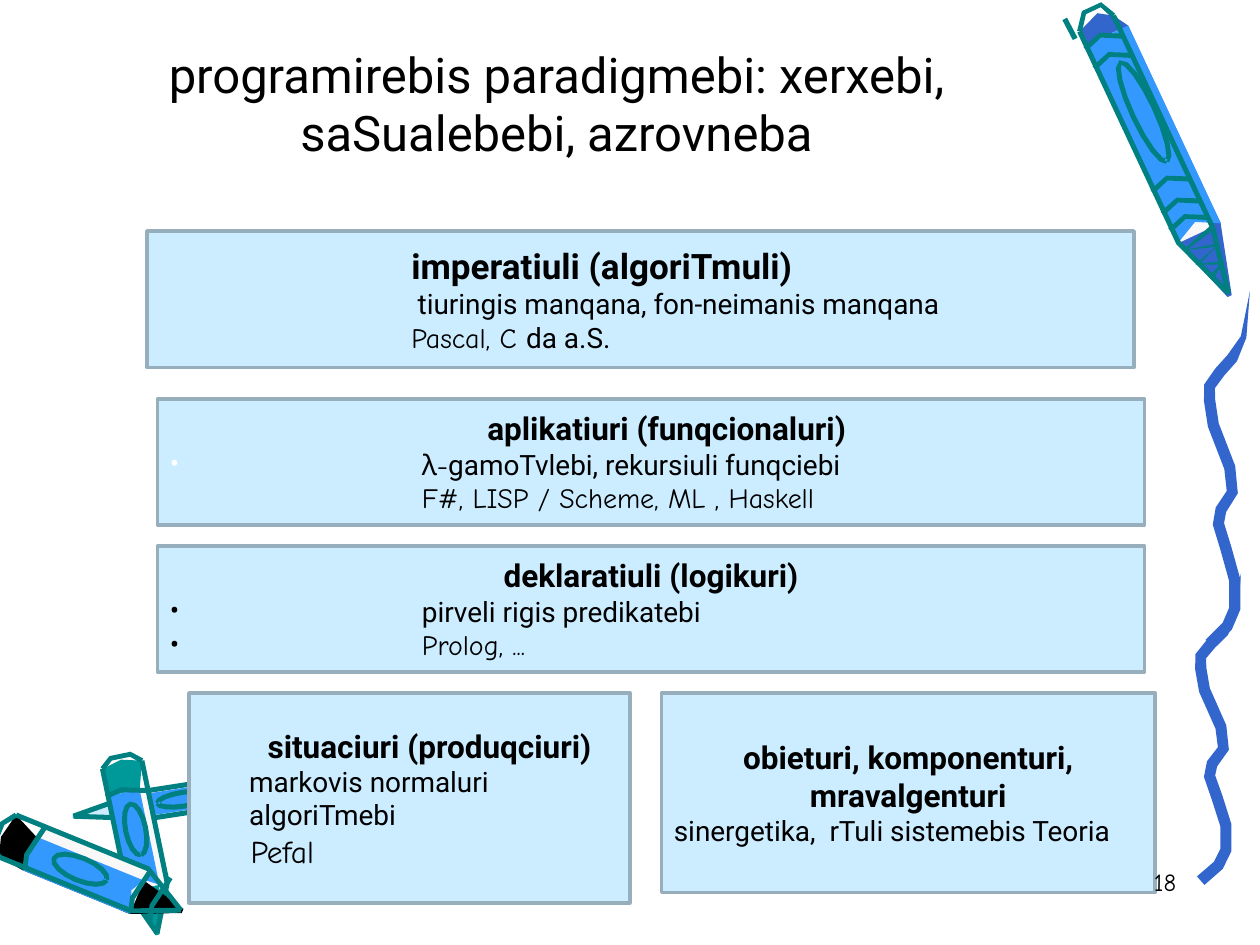
"""Build the slide on programming paradigms with its crayon decoration."""
from dataclasses import dataclass
from math import cos, hypot, pi, sin

from lxml import etree
from pptx import Presentation
from pptx.dml.color import RGBColor
from pptx.enum.shapes import MSO_CONNECTOR, MSO_SHAPE
from pptx.enum.text import MSO_ANCHOR, PP_ALIGN
from pptx.oxml.ns import qn
from pptx.util import Emu, Inches, Pt

LEFT, CENTER, RIGHT = PP_ALIGN.LEFT, PP_ALIGN.CENTER, PP_ALIGN.RIGHT
TOP, MIDDLE, BOTTOM = MSO_ANCHOR.TOP, MSO_ANCHOR.MIDDLE, MSO_ANCHOR.BOTTOM
RECT, STRAIGHT = MSO_SHAPE.RECTANGLE, MSO_CONNECTOR.STRAIGHT
BODY, HAND = "Roboto", "Comic Neue"
CELL, HUNDREDTH = Inches(1) // 12, Inches(1) // 100
COLORS = {
    "ink": "000000", "white": "FFFFFF", "panel": "CCECFF", "border": "97AFBD",
    "royal": "3366CC", "blue": "3399FF", "paper": "F8F8F8",
    "teal": "009999", "dark_teal": "008080",
}


@dataclass
class Crayon:
    """Describe a crayon: ends in hundredths of an inch, the rest in shares of its length and half width."""

    butt: tuple
    tip: tuple
    half: float
    core: str
    nib: str
    sleeve: tuple
    sleeve_sides: tuple
    edges: tuple
    lens: tuple
    bands: tuple = ()
    scribbles: int = 0

    def place(self, points):
        """Turn (along, across) shares into slide positions."""
        (x, y), (tx, ty) = self.butt, self.tip
        dx, dy = tx - x, ty - y
        k = self.half / hypot(dx, dy)
        return [(x + u * dx - v * k * dy, y + u * dy + v * k * dx) for u, v in points]


CRAYONS = [
    Crayon((193, 627), (57, 648), 11, "paper", "panel", (0.1, 0.57), (-0.8, 0.8), (-1, 1), (0.35, 0.15)),
    Crayon((97, 607), (125, 742), 16, "teal", "teal", (0.16, 0.72), (-0.6, 0.9), (-1, 1), (0.38, 0.15),
           bands=(0.16,)),
    Crayon((5, 666), (145, 723), 18, "ink", "ink", (0.14, 0.75), (-0.6, 1), (-1.15, 0.85), (0.42, 0.15),
           bands=(0.15, 0.75, 0.86)),
    Crayon((874, 17), (976, 235), 18, "royal", "royal", (0.05, 0.77), (-1, 1.1), (-0.6, 1.05), (0.33, 0.18),
           bands=(0.06, 0.13, 0.58, 0.66, 0.72), scribbles=6),
]
WAVE = [(36, 0), (31, 0.13), (22, 0.19), (12, 0.23), (4, 0.27), (4, 0.31), (7, 0.38), (20, 0.5), (22, 0.57),
        (13, 0.62), (11, 0.66), (17, 0.73), (24, 0.82), (24, 0.9), (18, 0.95), (4, 1)]
WAVE_SPANS = [(949, 455, 244), (956, 231, 280)]

HEADING = {"size": 18, "bold": True, "align": CENTER}
PANELS = [
    ((14, 22, 94, 13), [
        ("imperatiuli (algoriTmuli)", {"size": 20, "bold": True, "left": 2}),
        ("tiuringis manqana, fon-neimanis manqana", {"left": 2.05}),
        ("Pascal, C ", {"font": HAND, "left": 2, "tail": ("da a.S.", BODY)})]),
    ((15, 38, 94, 12), [
        ("aplikatiuri (funqcionaluri)", {**HEADING, "left": 0.25}),
        ("λ-", {"font": HAND, "left": 2, "bullet": "white", "tail": ("gamoTvlebi, rekursiuli funqciebi", BODY)}),
        ("F#, LISP / Scheme, ML , Haskell", {"font": HAND, "left": 2})]),
    ((15, 52, 94, 12), [
        ("deklaratiuli (logikuri)", HEADING),
        ("pirveli rigis predikatebi", {"left": 2, "bullet": "ink"}),
        ("Prolog, ...", {"font": HAND, "left": 2, "bullet": "ink"})]),
    ((18, 66, 42, 20), [
        ("situaciuri (produqciuri)", {**HEADING, "left": 0.32}),
        ("markovis normaluri algoriTmebi", {"left": 0.38}),
        ("Pefal", {"size": 18, "font": HAND, "left": 0.39})]),
    ((63, 66, 47, 19), [
        ("obieturi, komponenturi, mravalgenturi", HEADING),
        ("sinergetika,  rTuli sistemebis Teoria", {})]),
]


def rgb(name):
    """Return the named colour."""
    return RGBColor.from_string(COLORS[name])


def write(tf, text, size=16, font=BODY, bold=False, align=LEFT, left=0, bullet=None, tail=None):
    """Add a paragraph, with an optional bullet colour and a (text, font) tail."""
    p = tf.add_paragraph() if tf.paragraphs[0].runs else tf.paragraphs[0]
    p.alignment = align
    pPr = p._p.get_or_add_pPr()
    pPr.set("marL", str(Inches(left)))
    pPr.set("indent", str(-Inches(left) if bullet else 0))
    if bullet:
        color = etree.SubElement(pPr, qn("a:buClr"))
        etree.SubElement(color, qn("a:srgbClr"), val=COLORS[bullet])
        etree.SubElement(pPr, qn("a:buFont"), typeface=BODY)
        etree.SubElement(pPr, qn("a:buChar"), char="•")
    for part, face in [(text, font)] + ([tail] if tail else []):
        r = p.add_run()
        r.text = part
        r.font.name, r.font.size, r.font.bold = face, Pt(size), bold
        r.font.color.rgb = rgb("ink")


class Deck:
    """Hold the current slide and place elements on a grid of 120 by 90 cells."""

    def __init__(self, prs):
        """Add a blank slide."""
        self.slide = prs.slides.add_slide(prs.slide_layouts[6])
        self.shapes = self.slide.shapes

    def cells(self, *values):
        """Convert grid cells to lengths."""
        return [Emu(round(v * CELL)) for v in values]

    def polygon(self, points, color):
        """Fill an outline given in hundredths of an inch."""
        start, *rest = [(x * HUNDREDTH, y * HUNDREDTH) for x, y in points]
        builder = self.shapes.build_freeform(*start)
        builder.add_line_segments(rest, close=True)
        sp = builder.convert_to_shape()
        sp.shadow.inherit = False
        sp.fill.solid()
        sp.fill.fore_color.rgb = rgb(color)
        sp.line.fill.background()

    def strip(self, points, color="dark_teal", width=4, taper=0):
        """Fill a ribbon around a path, growing to full width over its first taper points."""
        sides = [], []
        for i, (x, y) in enumerate(points):
            (ax, ay), (bx, by) = points[max(i - 1, 0)], points[min(i + 1, len(points) - 1)]
            share = min(1, i / taper) if taper else 1
            k = share * width / 2 / hypot(bx - ax, by - ay)
            for side, sign in zip(sides, (1, -1)):
                side.append((x - sign * k * (by - ay), y + sign * k * (bx - ax)))
        self.polygon(sides[0] + sides[1][::-1], color)

    def crayon(self, c):
        """Draw a crayon from its fills outwards to its outlines, bands and lens."""
        (start, end), (low, high), (top, base) = c.sleeve, c.sleeve_sides, c.edges
        fills = [
            (c.core, [(0, top), (-0.03, 0), (0, base), (start, high), (end, high), (end, low), (start, low)]),
            (c.nib, [(end - 0.05, low), (end - 0.05, high), (end, high), (1, 0.1), (1, -0.1), (end, low)]),
            ("paper", [(start, top), (start, base), (end, base), (end, top)]),
            ("blue", [(start, low), (start, high), (end, high), (end - 0.04, 0), (end, low)]),
        ]
        for color, outline in fills:
            self.polygon(c.place(outline), color)
        rim = [(0, top), (-0.05, top / 2), (-0.05, base / 2), (0, base)]
        sides = [[(0, v), (end, v), (0.99, 0)] for v in c.edges]
        bands = [[(u, base * 1.1), (u - 0.02, 0.3), (u + 0.015, top)] for u in c.bands]
        scribble = [(end + 0.03 * i, c.edges[i % 2] * (1 - 0.12 * i)) for i in range(c.scribbles)]
        middle, reach = c.lens
        lens = [(middle + reach * cos(i * pi / 8), 0.5 * sin(i * pi / 8)) for i in range(17)]
        for outline in [rim, *sides, *bands, lens] + ([scribble] if scribble else []):
            self.strip(c.place(outline))

    def line(self, *ends, color="dark_teal", width=3):
        """Draw a straight line."""
        sp = self.shapes.add_connector(STRAIGHT, *self.cells(*ends))
        sp.line.color.rgb, sp.line.width = rgb(color), Pt(width)
        etree.SubElement(sp._element.spPr, qn("a:effectLst"))

    def text(self, *box, anchor=TOP):
        """Add a text box and return its text frame."""
        tf = self.shapes.add_textbox(*self.cells(*box)).text_frame
        tf.word_wrap, tf.vertical_anchor = True, anchor
        return tf

    def panel(self, *box):
        """Add a bordered panel and return its text frame."""
        sp = self.shapes.add_shape(RECT, *self.cells(*box))
        sp.shadow.inherit = False
        sp.fill.solid()
        sp.fill.fore_color.rgb = rgb("panel")
        sp.line.color.rgb, sp.line.width = rgb("border"), Pt(2)
        tf = sp.text_frame
        tf.word_wrap, tf.vertical_anchor = True, MIDDLE
        return tf


def main():
    """Build and save the slide."""
    prs = Presentation()
    prs.slide_width, prs.slide_height = Inches(10), Inches(7.5)
    deck = Deck(prs)
    for crayon in CRAYONS:
        deck.crayon(crayon)
    for left, top, height in WAVE_SPANS:
        deck.strip([(left + x, top + share * height) for x, share in WAVE], "royal", width=9, taper=2)
    deck.line(101.4, 1.8, 102.4, 3.7)
    title = deck.text(8, 3, 90, 13, anchor=BOTTOM)
    write(title, "programirebis paradigmebi: xerxebi, saSualebebi, azrovneba", size=28, align=CENTER)
    for box, lines in PANELS:
        tf = deck.panel(*box)
        for text, style in lines:
            write(tf, text, **style)
    write(deck.text(88.2, 82, 25, 6), "18", size=14, font=HAND, align=RIGHT)
    prs.save("out.pptx")


if __name__ == "__main__":
    main()
